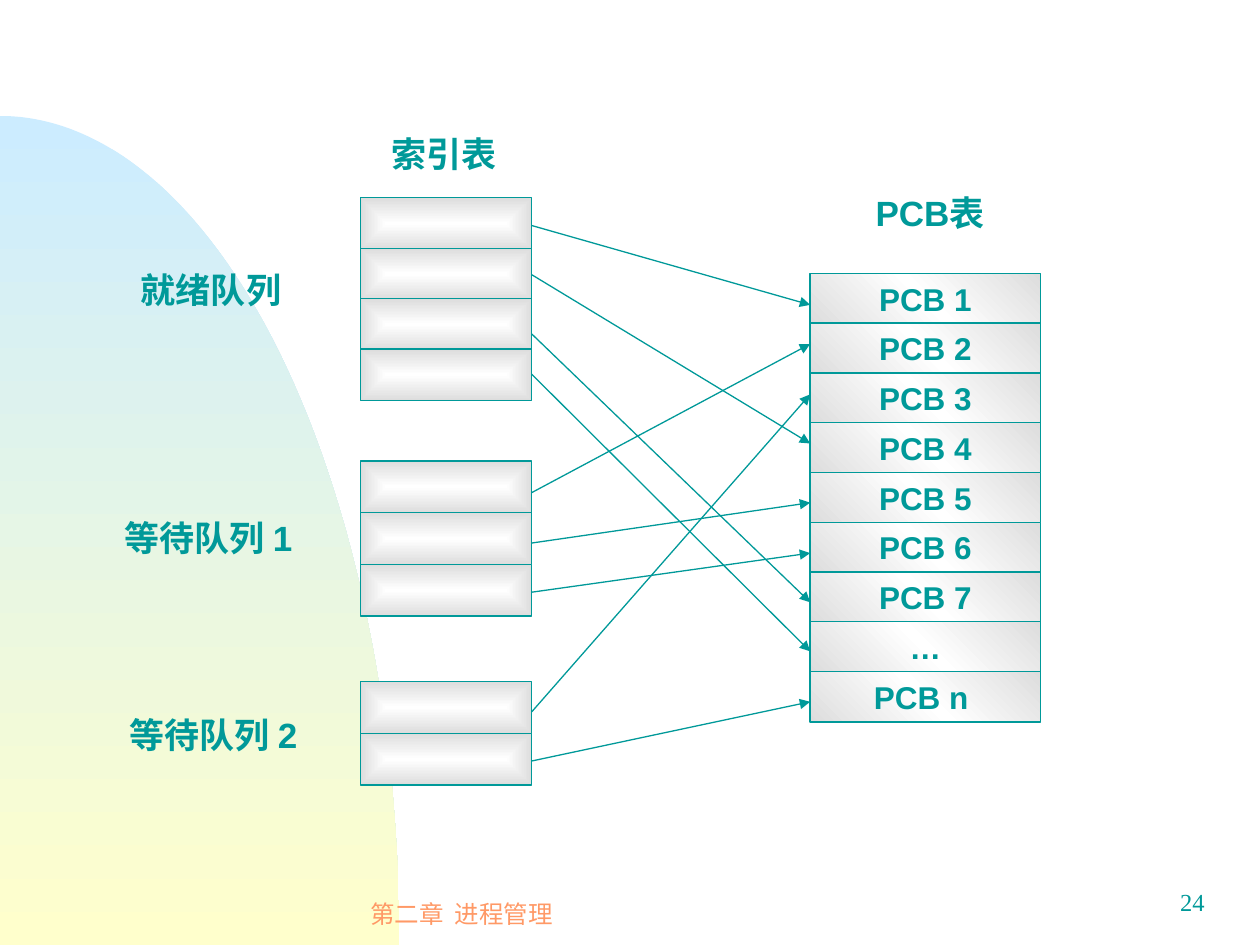
from math import cos, pi, sin

from lxml.etree import SubElement
from pptx import Presentation
from pptx.dml.color import RGBColor
from pptx.enum.shapes import MSO_CONNECTOR, MSO_SHAPE
from pptx.enum.text import MSO_ANCHOR, MSO_AUTO_SIZE, PP_ALIGN
from pptx.oxml import parse_xml
from pptx.oxml.ns import nsdecls, qn
from pptx.util import Inches, Pt

TEAL, ORANGE = "009999", "FF9966"
GREY, WHITE = "DDDDDD", "FFFFFF"
BACKDROP_W, BACKDROP_H = 3.17, 6.58
INDEX_X, INDEX_W, INDEX_H = 2.86, 1.36, 0.41
PCB_X, PCB_W, PCB_H = 6.43, 1.83, 0.4
PCB_TOP, PCB_LAST_TOP = 2.17, 5.33

# text, left, top, width
LABELS = [
    ("索引表", 3.01, 1, 1.06),
    ("就绪队列", 1.02, 2.08, 1.33),
    ("等待队列 1", 0.89, 4.05, 1.62),
    ("等待队列 2", 0.93, 5.61, 1.62),
    ("PCB表", 6.85, 1.47, 1.15),
]
# top, row count, distance between rows
INDEX_TABLES = [(1.57, 4, 0.4), (3.66, 3, 0.41), (5.41, 2, 0.41)]
PCB_ROWS = ["PCB 1", "PCB 2", "PCB 3", "PCB 4", "PCB 5", "PCB 6", "PCB 7", "…", "PCB n "]
# height at the index table, height at the PCB table
POINTERS = [
    (1.79, 2.42), (2.18, 3.52), (2.65, 4.78), (2.97, 5.17),
    (3.91, 2.73), (4.31, 3.99), (4.7, 4.39),
    (5.65, 3.13), (6.04, 5.57),
]
LINEAR = '<a:lin ang="{}" scaled="0"/>'
FROM_CENTRE = '<a:path path="rect"><a:fillToRect l="50000" t="50000" r="50000" b="50000"/></a:path>'


def rgb(color):
    return RGBColor.from_string(color)


def set_gradient(shape, colors, direction):
    """Fill with evenly spaced colour stops; direction is the XML of the gradient's course."""
    step = 100000 // (len(colors) - 1)
    stops = "".join(f'<a:gs pos="{i * step}"><a:srgbClr val="{c}"/></a:gs>'
                    for i, c in enumerate(colors))
    shape.fill.gradient()
    sp_pr = shape._element.spPr
    sp_pr.replace(sp_pr.find(qn("a:gradFill")), parse_xml(
        f'<a:gradFill {nsdecls("a")} rotWithShape="1"><a:gsLst>{stops}</a:gsLst>{direction}</a:gradFill>'))


def set_text(shape, text, size, color=TEAL, font="Arial", bold=False,
             align=PP_ALIGN.LEFT, anchor=MSO_ANCHOR.TOP, wrap=True):
    tf = shape.text_frame
    tf.word_wrap = wrap
    tf.vertical_anchor = anchor
    p = tf.paragraphs[0]
    p.alignment = align
    r = p.add_run()
    r.text = text
    r.font.size, r.font.name, r.font.bold = Pt(size), font, bold
    r.font.color.rgb = rgb(color)
    return tf


def add_box(s, x, y, w, h):
    return s.shapes.add_textbox(Inches(x), Inches(y), Inches(w), Inches(h))


def add_cell(s, x, y, w, h, colors, direction):
    sp = s.shapes.add_shape(MSO_SHAPE.RECTANGLE, Inches(x), Inches(y), Inches(w), Inches(h))
    sp.shadow.inherit = False
    set_gradient(sp, colors, direction)
    sp.line.color.rgb = rgb(TEAL)
    sp.line.width = Pt(0.75)
    return sp


def add_arrow(s, x1, y1, x2, y2):
    line = s.shapes.add_connector(MSO_CONNECTOR.STRAIGHT,
                                  Inches(x1), Inches(y1), Inches(x2), Inches(y2))
    line.line.color.rgb = rgb(TEAL)
    line.line.width = Pt(0.75)
    sp_pr = line._element.spPr
    SubElement(sp_pr.find(qn("a:ln")), qn("a:tailEnd"), type="triangle")
    SubElement(sp_pr, qn("a:effectLst"))


def add_backdrop(s, bottom, steps=90):
    """Quarter ellipse rising from the lower left corner."""
    arc = [(Inches(BACKDROP_W * sin(a)), Inches(bottom - BACKDROP_H * cos(a)))
           for a in (pi / 2 * i / steps for i in range(steps + 1))]
    builder = s.shapes.build_freeform(0, Inches(bottom))
    builder.add_line_segments(arc, close=True)
    sp = builder.convert_to_shape()
    sp.shadow.inherit = False
    sp.line.fill.background()
    set_gradient(sp, ["CCECFF", "FFFFCC"], LINEAR.format(90 * 60000))


def main():
    prs = Presentation()
    prs.slide_width, prs.slide_height = Inches(10), Inches(7.5)
    s = prs.slides.add_slide(prs.slide_layouts[6])

    add_backdrop(s, 7.5)
    set_text(add_box(s, 2.08, 7, 3.17, 0.5), "第二章  进程管理", 14, ORANGE,
             align=PP_ALIGN.CENTER, anchor=MSO_ANCHOR.MIDDLE, wrap=False)
    set_text(add_box(s, 7.58, 6.99, 2.08, 0.5), "24", 14,
             font="Times New Roman", align=PP_ALIGN.RIGHT)

    for top, count, pitch in INDEX_TABLES:
        for i in range(count):
            add_cell(s, INDEX_X, top + i * pitch, INDEX_W, INDEX_H, [WHITE, GREY], FROM_CENTRE)

    for start, end in POINTERS:
        add_arrow(s, INDEX_X + INDEX_W, start, PCB_X, end)

    pitch = (PCB_LAST_TOP - PCB_TOP) / (len(PCB_ROWS) - 1)
    for i, name in enumerate(PCB_ROWS):
        cell = add_cell(s, PCB_X, PCB_TOP + i * pitch, PCB_W, PCB_H,
                        [GREY, WHITE, GREY], LINEAR.format(315 * 60000))
        set_text(cell, name, 18, bold=True, align=PP_ALIGN.CENTER)

    for text, x, y, w in LABELS:
        tf = set_text(add_box(s, x, y, w, 0.44), text, 20, bold=True, wrap=False)
        tf.auto_size = MSO_AUTO_SIZE.SHAPE_TO_FIT_TEXT

    prs.save("out.pptx")


if __name__ == "__main__":
    main()
